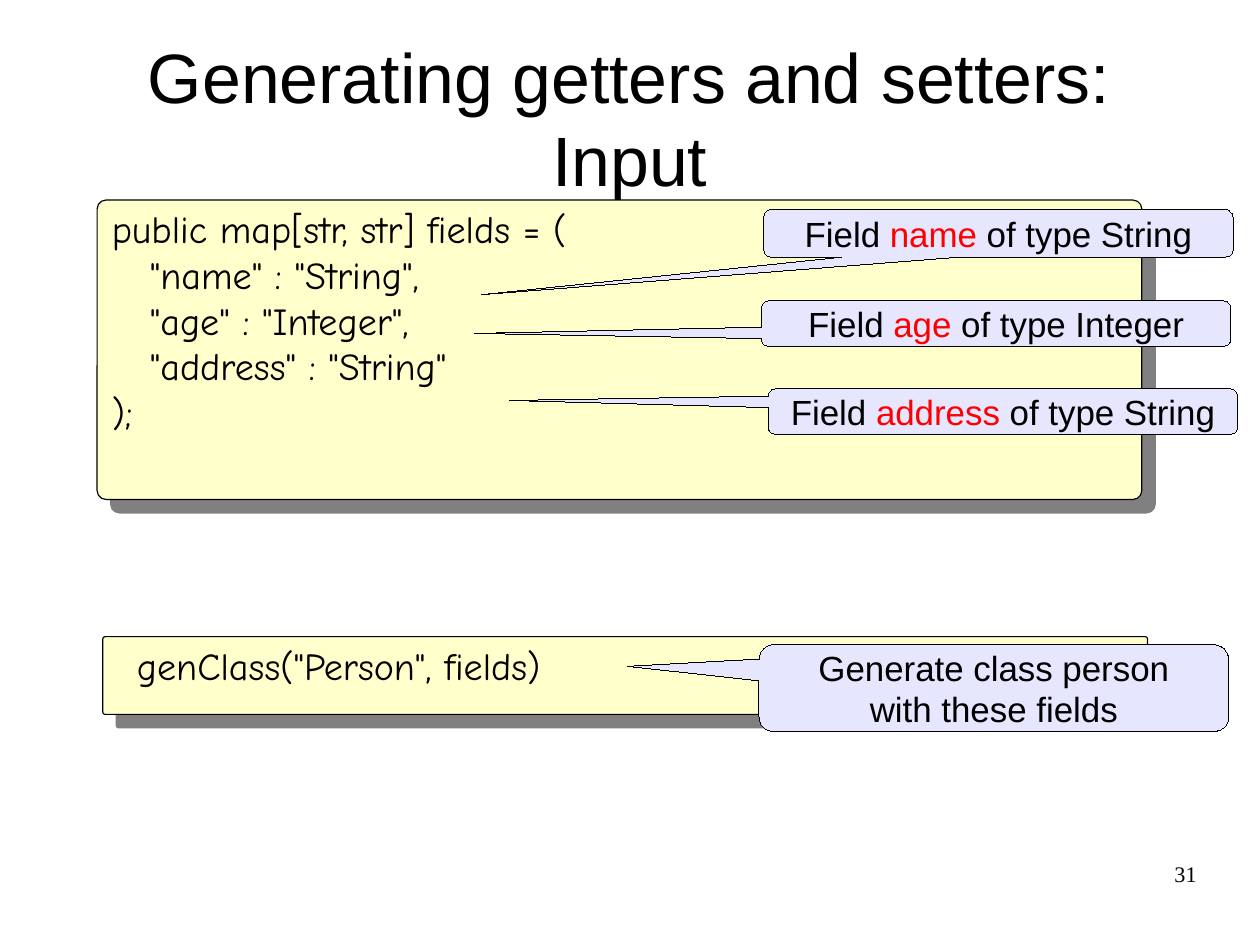
from dataclasses import dataclass

from lxml.etree import SubElement
from pptx import Presentation
from pptx.dml.color import RGBColor as RGB
from pptx.enum.shapes import MSO_SHAPE as Shape
from pptx.enum.text import MSO_ANCHOR as Anchor, PP_ALIGN as Align
from pptx.oxml.ns import qn
from pptx.util import Inches, Pt

HUES = {"ink": "000000", "hot": "FF0000", "code": "FFFFCC",
        "note": "E6E6FF", "shade": "808080"}
Area = tuple[float, float, float, float]


@dataclass
class Panel:
    area: Area


@dataclass
class Label:
    area: Area
    text: str
    size: int
    font: str = "Arial"
    align: Align = Align.LEFT
    anchor: Anchor = Anchor.TOP
    inset: tuple[float, float] = (0, 0)


@dataclass
class Callout:
    area: Area
    tip: tuple[float, float]
    text: str
    hot: str = ""


# 28 by 21 cm page
WIDE, HIGH = 28 / 2.54, 21 / 2.54
PAD = (0.1, 0.05)
CODE = "Comic Neue"
FIELDS = '''public map[str, str] fields = (
   "name" : "String",
   "age" : "Integer",
   "address" : "String"
);'''

# From back to front
PARTS: list[Panel | Label | Callout] = [
    Label((0.55, 0.19, 9.92, 1.67), "Generating getters and setters: Input",
          44, align=Align.CENTER, anchor=Anchor.MIDDLE),
    Panel((0.85, 1.75, 9.14, 2.62)),
    Label((0.88, 1.75, 5.46, 2.42), FIELDS, 24, CODE, inset=PAD),
    Callout((6.68, 1.83, 4.11, 0.42), (-1.1, 1.28),
            "Field name of type String", "name"),
    Callout((6.66, 2.63, 4.11, 0.4), (-1.11, 0.22),
            "Field age of type Integer", "age"),
    Callout((6.72, 3.4, 4.11, 0.4), (-1.05, -0.24),
            "Field address of type String", "address"),
    Panel((0.9, 5.57, 9.14, 0.68)),
    Label((1.1, 5.57, 4.53, 0.56), 'genClass("Person", fields)', 24, CODE,
          inset=PAD),
    Callout((6.64, 5.64, 4.11, 0.76), (-0.78, -0.25),
            "Generate class person\nwith these fields"),
    Label((7.9, 7.53, 2.57, 0.57), "31", 14, "Times New Roman", Align.RIGHT),
]


def color(name: str) -> RGB:
    return RGB.from_string(HUES[name])


def style(font, size: int, face: str, hue: str = "ink") -> None:
    font.size, font.name = Pt(size), face
    font.color.rgb = color(hue)


def inset(frame, pad: tuple[float, float]) -> None:
    frame.margin_left = frame.margin_right = Inches(pad[0])
    frame.margin_top = frame.margin_bottom = Inches(pad[1])


def block(slide, kind: Shape, area: Area, fill: str, width: float):
    shape = slide.shapes.add_shape(kind, *map(Inches, area))
    shape.shadow.inherit = False
    shape.fill.solid()
    shape.fill.fore_color.rgb = color(fill)
    shape.line.color.rgb = color("ink")
    # A hairline needs its zero width written out
    line = shape._element.spPr.find(qn("a:ln"))
    line.set("w", str(Pt(width)))
    return shape


def panel(slide, item: Panel) -> None:
    shape = block(slide, Shape.ROUNDED_RECTANGLE, item.area, "code", 0.75)
    shape.adjustments[0] = 0.03
    # Hard shadow, down and to the right
    effects = shape._element.spPr.find(qn("a:effectLst"))
    shade = SubElement(effects, qn("a:outerShdw"), blurRad="0",
                       dist=str(Pt(12)), dir=str(45 * 60000),
                       algn="tl", rotWithShape="0")
    SubElement(shade, qn("a:srgbClr"), val=HUES["shade"])


def label(slide, item: Label) -> None:
    box = slide.shapes.add_textbox(*map(Inches, item.area))
    frame = box.text_frame
    frame.word_wrap = True
    frame.vertical_anchor = item.anchor
    inset(frame, item.inset)
    frame.text = item.text
    for para in frame.paragraphs:
        para.alignment = item.align
        for run in para.runs:
            style(run.font, item.size, item.font)


def callout(slide, item: Callout) -> None:
    shape = block(slide, Shape.ROUNDED_RECTANGULAR_CALLOUT, item.area,
                  "note", 0)
    for spot, value in enumerate((*item.tip, 0.17)):
        shape.adjustments[spot] = value
    frame = shape.text_frame
    frame.word_wrap = False
    frame.vertical_anchor = Anchor.MIDDLE
    inset(frame, PAD)
    frame.text = item.text
    for para in frame.paragraphs:
        para.alignment = Align.CENTER
        # Split the line around the red word
        if item.hot:
            parts = para.text.partition(item.hot)
            para.runs[0].text = parts[0]
            for part in parts[1:]:
                para.add_run().text = part
        for run in para.runs:
            hue = "hot" if run.text == item.hot else "ink"
            style(run.font, 22, "Arial", hue)


def main() -> None:
    deck = Presentation()
    deck.slide_width, deck.slide_height = Inches(WIDE), Inches(HIGH)
    slide = deck.slides.add_slide(deck.slide_layouts[6])

    draw = {Panel: panel, Label: label, Callout: callout}
    for part in PARTS:
        draw[type(part)](slide, part)

    deck.save("out.pptx")


if __name__ == "__main__":
    main()
